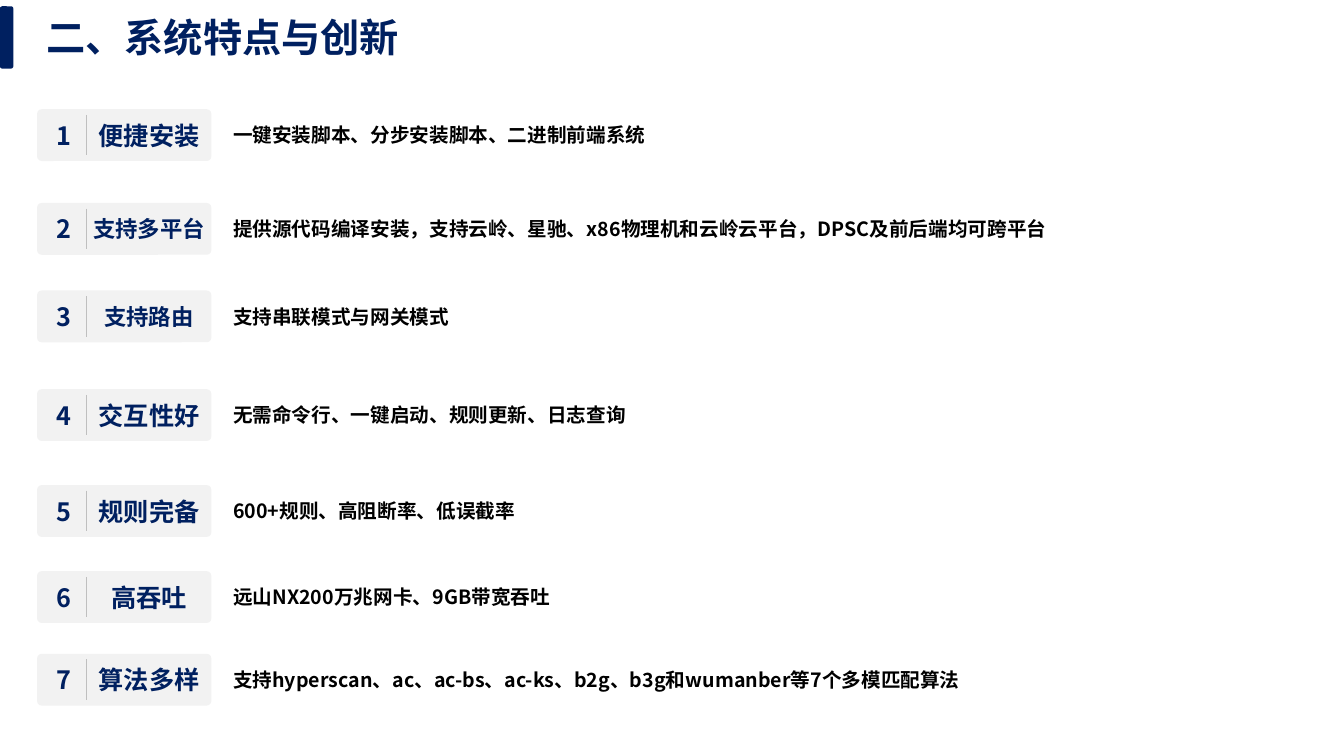
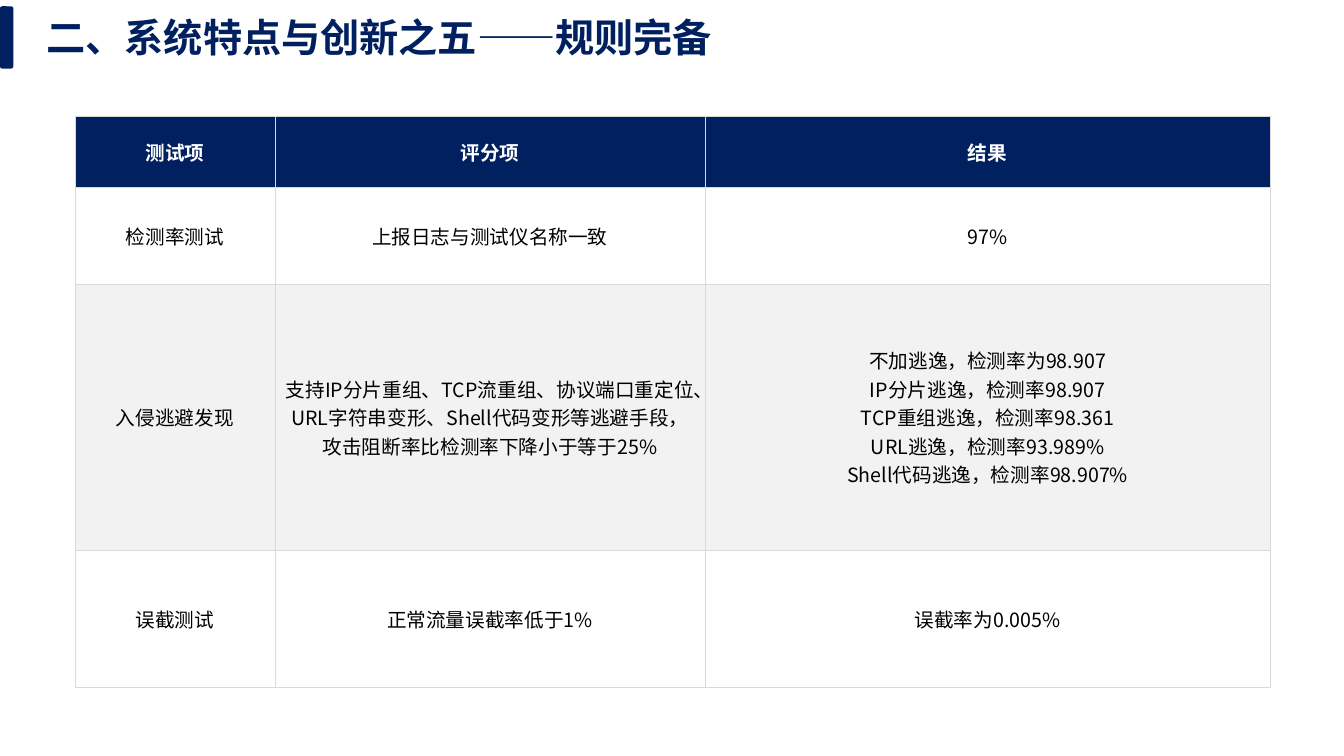
from dataclasses import dataclass

from lxml import etree
from pptx import Presentation
from pptx.dml.color import RGBColor
from pptx.enum import shapes, text
from pptx.oxml import ns
from pptx.util import Pt


@dataclass(frozen=True)
class Theme:
    """Colours, font and type sizes shared by the slides."""
    font: str = "Noto Sans CJK SC"
    navy: str = "002060"
    black: str = "000000"
    white: str = "FFFFFF"
    panel: str = "F2F2F2"
    divider: str = "BFBFBF"
    grid: str = "D9D9D9"
    title_size: float = 28
    label_size: float = 18
    small_label_size: float = 16
    body_size: float = 14
    hairline: float = 0.5


THEME = Theme()
CENTER = text.PP_ALIGN.CENTER
LEFT = text.PP_ALIGN.LEFT

FEATURES = [
    (78, "便捷安装", THEME.label_size, "一键安装脚本、分步安装脚本、二进制前端系统"),
    (145, "支持多平台", THEME.small_label_size,
     "提供源代码编译安装，支持云岭、星驰、x86物理机和云岭云平台，DPSC及前后端均可跨平台"),
    (207.5, "支持路由", THEME.small_label_size, "支持串联模式与网关模式"),
    (278, "交互性好", THEME.label_size, "无需命令行、一键启动、规则更新、日志查询"),
    (346.5, "规则完备", THEME.label_size, "600+规则、高阻断率、低误截率"),
    (408, "高吞吐", THEME.label_size, "远山NX200万兆网卡、9GB带宽吞吐"),
    (467, "算法多样", THEME.label_size,
     "支持hyperscan、ac、ac-bs、ac-ks、b2g、b3g和wumanber等7个多模匹配算法"),
]

RESULTS = [
    ("测试项", "评分项", "结果"),
    ("检测率测试", "上报日志与测试仪名称一致", "97%"),
    ("入侵逃避发现",
     "支持IP分片重组、TCP流重组、协议端口重定位、URL字符串变形、Shell代码变形等逃避手段，"
     "攻击阻断率比检测率下降小于等于25%",
     "不加逃逸，检测率为98.907\nIP分片逃逸，检测率98.907\nTCP重组逃逸，检测率98.361\n"
     "URL逃逸，检测率93.989%\nShell代码逃逸，检测率98.907%"),
    ("误截测试", "正常流量误截率低于1%", "误截率为0.005%"),
]


def color(value):
    """Turn a hex string into a colour."""
    return RGBColor.from_string(value)


def points(*values):
    """Convert numbers to lengths in points."""
    return [Pt(value) for value in values]


def format_text(frame, size, ink, bold=True, align=LEFT):
    """Give every paragraph of a text frame the same look."""
    for paragraph in frame.paragraphs:
        paragraph.alignment = align
        font = paragraph.font
        font.size, font.bold, font.name = Pt(size), bold, THEME.font
        font.color.rgb = color(ink)
        defaults = paragraph._p.pPr.find(ns.qn("a:defRPr"))
        etree.SubElement(defaults, ns.qn("a:ea"), typeface=THEME.font)


def add_panel(parent, box, fill, corner=None):
    """Add a rounded rectangle without outline or shadow."""
    shape = parent.add_shape(shapes.MSO_SHAPE.ROUNDED_RECTANGLE, *points(*box))
    shape.shadow.inherit = False
    shape.fill.solid()
    shape.fill.fore_color.rgb = color(fill)
    shape.line.fill.background()
    if corner is not None:
        shape.adjustments[0] = corner
    return shape


def add_label(parent, box, words, size, ink, align=CENTER):
    """Add text centred vertically in a box without margins."""
    frame = parent.add_textbox(*points(*box)).text_frame
    frame.word_wrap = True
    frame.margin_left = frame.margin_right = frame.margin_top = frame.margin_bottom = 0
    frame.vertical_anchor = text.MSO_ANCHOR.MIDDLE
    frame.text = words
    format_text(frame, size, ink, align=align)


def add_divider(parent, x, top, bottom):
    """Add a thin vertical line."""
    line = parent.add_connector(shapes.MSO_CONNECTOR.STRAIGHT, *points(x, top, x, bottom))
    line.line.color.rgb = color(THEME.divider)
    line.line.width = Pt(THEME.hairline)
    etree.SubElement(line._element.spPr, ns.qn("a:effectLst"))


def prepare_layout(presentation):
    """Place the title and the accent bar on the shared layout."""
    layout = presentation.slide_layouts.get_by_name("Title Only")
    title = layout.placeholders[0]
    title.left, title.top, title.width, title.height = points(26, 5.5, 900, 41)
    return layout


def add_accent_bar(layout, slide):
    """Draw the accent bar and hand it to the layout."""
    bar = add_panel(slide.shapes, (0, 4.5, 9.5, 44.5), THEME.navy)
    layout.shapes._spTree.append(bar._element)


def add_titled_slide(presentation, layout, words):
    """Add a slide with a formatted title."""
    slide = presentation.slides.add_slide(layout)
    frame = slide.shapes.title.text_frame
    frame.text = words
    frame.auto_size = text.MSO_AUTO_SIZE.NONE
    frame.vertical_anchor = text.MSO_ANCHOR.MIDDLE
    format_text(frame, THEME.title_size, THEME.navy)
    return slide


def add_feature(slide, box, number, label, label_size, detail):
    """Add a numbered feature card and its explanation."""
    left, top, width, height = box
    card_width, divider, inset, detail_offset = 124.5, 35.5, 4, 140
    parent = slide.shapes.add_group_shape().shapes
    add_panel(parent, (left, top, card_width, height), THEME.panel, 0.09)
    add_divider(parent, left + divider, top + inset, top + height - inset)
    add_label(parent, (left + 8, top, 23, height), str(number), THEME.label_size, THEME.navy)
    add_label(parent, (left + divider, top, card_width - divider, height),
              label, label_size, THEME.navy)
    add_label(parent, (left + detail_offset, top, width - detail_offset, height),
              detail, THEME.body_size, THEME.black, LEFT)


def set_borders(cell):
    """Draw thin lines on all four sides of a cell."""
    properties = cell._tc.get_or_add_tcPr()
    for side in ("lnL", "lnR", "lnT", "lnB"):
        line = etree.SubElement(properties, ns.qn(f"a:{side}"), w=str(Pt(THEME.hairline)))
        fill = etree.SubElement(line, ns.qn("a:solidFill"))
        etree.SubElement(fill, ns.qn("a:srgbClr"), val=THEME.grid)


def add_results_table(slide, box, rows, column_shares, row_shares):
    """Add a table whose columns and rows share the box by the given weights."""
    table = slide.shapes.add_table(len(rows), len(rows[0]), *points(*box)).table
    table.horz_banding = False
    for column, share in zip(table.columns, column_shares):
        column.width = Pt(box[2] * share / sum(column_shares))
    for row, share in zip(table.rows, row_shares):
        row.height = Pt(box[3] * share / sum(row_shares))
    for row_index, row in enumerate(rows):
        header = row_index == 0
        body_fill = THEME.white if row_index % 2 else THEME.panel
        for column_index, words in enumerate(row):
            cell = table.cell(row_index, column_index)
            cell.text = words
            cell.vertical_anchor = text.MSO_ANCHOR.MIDDLE
            set_borders(cell)
            cell.fill.solid()
            cell.fill.fore_color.rgb = color(THEME.navy if header else body_fill)
            format_text(cell.text_frame, THEME.body_size,
                        THEME.white if header else THEME.black, header, CENTER)


def main():
    """Build and save the presentation."""
    presentation = Presentation()
    presentation.slide_width, presentation.slide_height = points(960, 540)
    layout = prepare_layout(presentation)

    features = add_titled_slide(presentation, layout, "二、系统特点与创新")
    add_accent_bar(layout, features)
    for number, (top, label, size, detail) in enumerate(FEATURES, 1):
        add_feature(features, (26.5, top, 797, 37), number, label, size, detail)

    results = add_titled_slide(presentation, layout, "二、系统特点与创新之五——规则完备")
    add_results_table(results, (53.5, 83, 854, 408), RESULTS,
                      (143, 307, 404), (51, 69, 190, 98))
    presentation.save("out.pptx")


if __name__ == "__main__":
    main()
